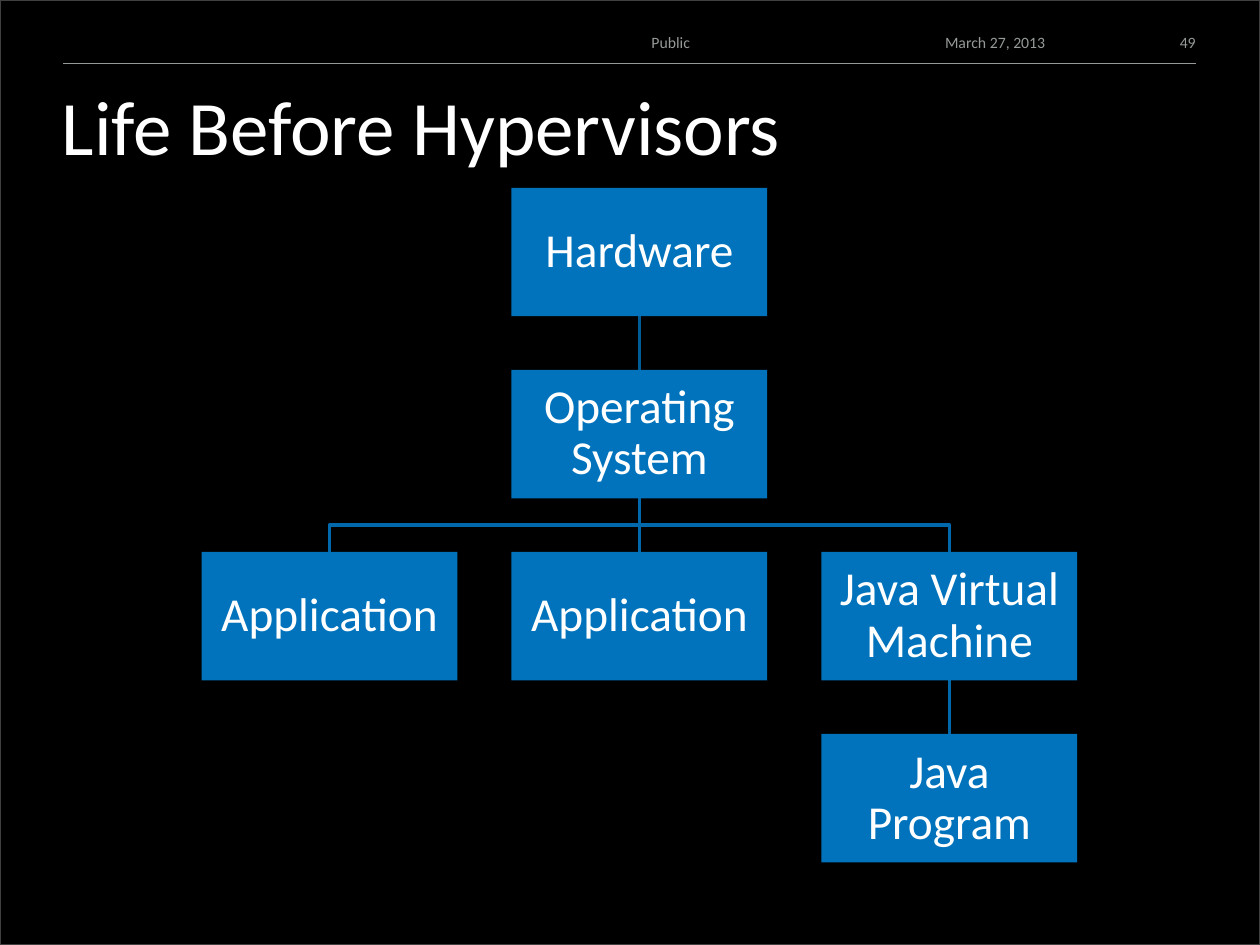
from lxml import etree
from pptx import Presentation
from pptx.dml.color import RGBColor
from pptx.enum.shapes import MSO_CONNECTOR, MSO_SHAPE
from pptx.enum.text import MSO_ANCHOR, PP_ALIGN
from pptx.oxml.ns import qn
from pptx.util import Inches, Pt

RECT = MSO_SHAPE.RECTANGLE
STRAIGHT = MSO_CONNECTOR.STRAIGHT
TOP, MIDDLE = MSO_ANCHOR.TOP, MSO_ANCHOR.MIDDLE
LEFT, CENTER, RIGHT = PP_ALIGN.LEFT, PP_ALIGN.CENTER, PP_ALIGN.RIGHT

WIDTH, HEIGHT = 10, 7.5
FONT = "Calibri"
BLACK, WHITE, GREY, FRAME = "000000", "FFFFFF", "96999A", "404040"
BLUE, ROOT_LINK, LINK = "0073BC", "005C97", "0068AB"

COL_STEP, ROW_STEP = 2.46, 1.445
NODE_W, NODE_H = 2.03, 1.02

NODES = {
    "hardware": ("Hardware", 1, 0),
    "os": ("Operating System", 1, 1),
    "app_left": ("Application", 0, 2),
    "app_middle": ("Application", 1, 2),
    "jvm": ("Java Virtual Machine", 2, 2),
    "program": ("Java Program", 2, 3),
}
LINKS = [
    ("jvm", "program", LINK),
    ("os", "jvm", LINK),
    ("os", "app_middle", LINK),
    ("os", "app_left", LINK),
    ("hardware", "os", ROOT_LINK),
]


def rgb(value):
    """Turn a hex string into a colour."""
    return RGBColor.from_string(value)


def set_text(sp, text, size, color, align=LEFT, anchor=TOP, insets=(0, 0, 0, 0)):
    """Write one formatted paragraph into a shape."""
    tf = sp.text_frame
    tf.word_wrap = True
    tf.vertical_anchor = anchor
    tf.margin_left, tf.margin_top, tf.margin_right, tf.margin_bottom = map(Inches, insets)
    tf.text = text
    p = tf.paragraphs[0]
    p.alignment = align
    font = p.runs[0].font
    font.name, font.size = FONT, Pt(size)
    font.color.rgb = rgb(color)
    return p


def add_text(s, box, *args, **kwargs):
    """Add a text box."""
    sp = s.shapes.add_textbox(*map(Inches, box))
    set_text(sp, *args, **kwargs)


def add_line(s, start, end, color, width):
    """Add a straight line without a shadow."""
    line = s.shapes.add_connector(STRAIGHT, *map(Inches, start + end))
    line.line.color.rgb = rgb(color)
    line.line.width = Pt(width)
    etree.SubElement(line._element.spPr, qn("a:effectLst"))


def add_elbow(s, points, color, width):
    """Add an open bent line through the points."""
    points = [tuple(map(Inches, point)) for point in points]
    builder = s.shapes.build_freeform(*points[0])
    builder.add_line_segments(points[1:], close=False)
    sp = builder.convert_to_shape()
    sp.fill.background()
    sp.line.color.rgb = rgb(color)
    sp.line.width = Pt(width)
    sp.shadow.inherit = False


def add_frame(s, box):
    """Draw the outline around the slide."""
    sp = s.shapes.add_shape(RECT, *map(Inches, box))
    sp.fill.background()
    sp.line.color.rgb = rgb(FRAME)
    sp.line.width = Pt(1.5)
    sp.shadow.inherit = False


def add_header(s, box):
    """Place the label, date, page number and rule in the header."""
    x, y, w, h = box
    text_h = 0.25
    add_line(s, (x, y + h), (x + w, y + h), GREY, 0.5)
    add_text(s, (x + 4.67, y, 1.75, text_h), "Public", 9, GREY, insets=(0, 0.05, 0.1, 0.05))
    add_text(s, (x + 7, y, 1.75, text_h), "March 27, 2013", 9, GREY, insets=(0, 0.05, 0, 0))
    add_text(s, (x + w - 0.5, y, 0.5, text_h), "49", 9, GREY, RIGHT, MIDDLE)


def add_node(s, box, text):
    """Draw one box of the tree."""
    sp = s.shapes.add_shape(RECT, *map(Inches, box))
    sp.fill.solid()
    sp.fill.fore_color.rgb = rgb(BLUE)
    sp.line.fill.background()
    sp.shadow.inherit = False
    p = set_text(sp, text, 27, WHITE, CENTER, MIDDLE, (0.02,) * 4)
    p.line_spacing = 0.9


def add_tree(s, left, top):
    """Draw the links and then the boxes on the tree's grid."""
    boxes = {
        key: (left + col * COL_STEP, top + row * ROW_STEP, NODE_W, NODE_H)
        for key, (_, col, row) in NODES.items()
    }
    for parent, child, color in LINKS:
        (px, py, w, h), (cx, cy, _, _) = boxes[parent], boxes[child]
        start, end = (px + w / 2, py + h), (cx + w / 2, cy)
        if px == cx:
            add_line(s, start, end, color, 2)
        else:
            mid = (start[1] + end[1]) / 2
            add_elbow(s, [start, (start[0], mid), (end[0], mid), end], color, 2)
    for key, (text, _, _) in NODES.items():
        add_node(s, boxes[key], text)


def main():
    """Build and save the slide."""
    prs = Presentation()
    prs.slide_width, prs.slide_height = Inches(WIDTH), Inches(HEIGHT)
    s = prs.slides.add_slide(prs.slide_layouts[6])
    s.background.fill.solid()
    s.background.fill.fore_color.rgb = rgb(BLACK)
    add_frame(s, (0, 0, WIDTH, HEIGHT))
    add_header(s, (0.5, 0.21, 8.99, 0.29))
    add_text(s, (0.49, 0.62, 9.03, 0.86), "Life Before Hypervisors", 44, WHITE)
    add_tree(s, 1.6, 1.49)
    prs.save("out.pptx")


if __name__ == "__main__":
    main()
